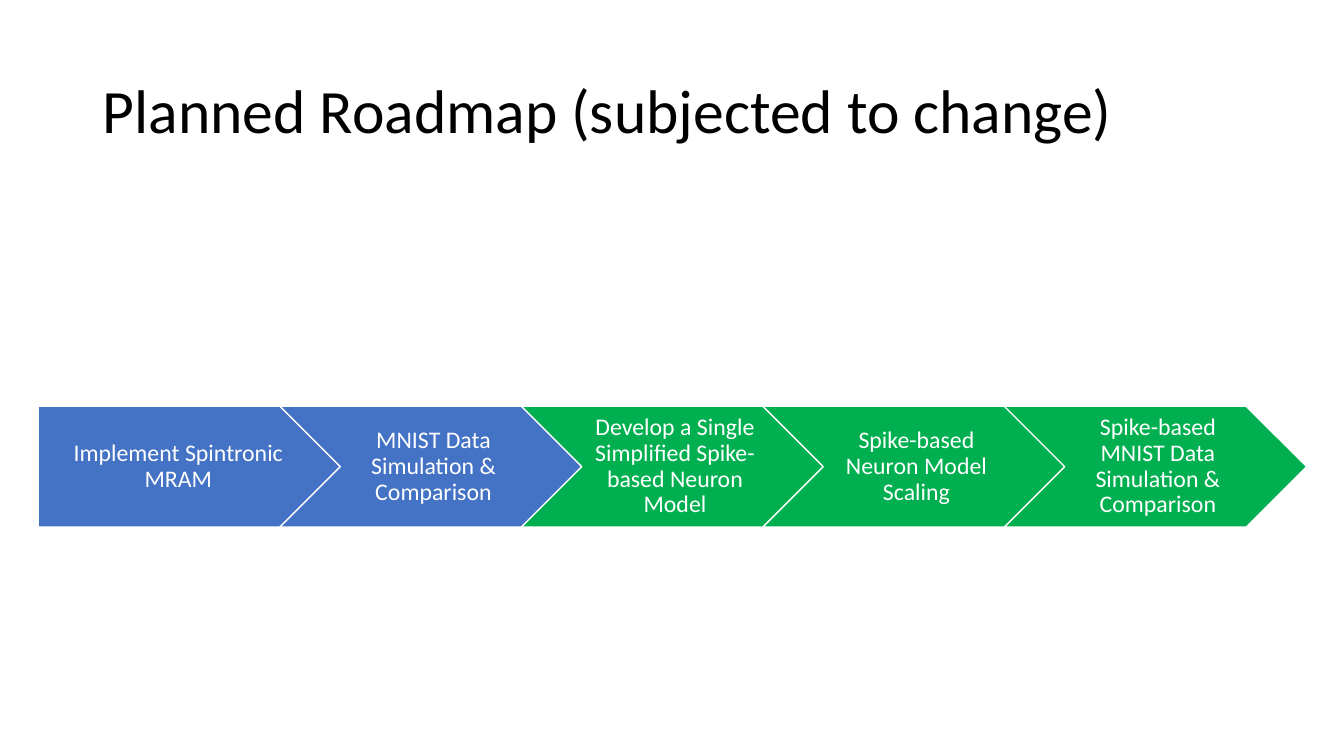
from pptx import Presentation
from pptx.dml.color import RGBColor
from pptx.enum.shapes import MSO_SHAPE as Shape
from pptx.enum.text import MSO_ANCHOR as Anchor, PP_ALIGN as Align
from pptx.util import Inches, Pt

TITLE = "Planned Roadmap (subjected to change)"
STEPS = [
    ("Implement Spintronic MRAM", "blue"),
    ("MNIST Data Simulation & Comparison", "blue"),
    ("Develop a Single Simplified Spike-based Neuron Model", "green"),
    ("Spike-based Neuron Model Scaling", "green"),
    ("Spike-based MNIST Data Simulation & Comparison", "green"),
]
COLORS = {"blue": "4472C4", "green": "00B050", "white": "FFFFFF", "black": "000000"}
FONT = "Calibri"

FIRST_LEFT, LAST_LEFT = 0.38, 9.96
STEP_TOP, STEP_WIDTH, STEP_HEIGHT = 4.03, 3, 1.2
PITCH = (LAST_LEFT - FIRST_LEFT) / (len(STEPS) - 1)


def color(name):
    return RGBColor.from_string(COLORS[name])


def write(shape, text, size, ink, align, insets=(0.1, 0.05, 0.1, 0.05)):
    """Fill the shape with one formatted, vertically centred paragraph."""
    frame = shape.text_frame
    frame.word_wrap = True
    frame.vertical_anchor = Anchor.MIDDLE
    (frame.margin_left, frame.margin_top,
     frame.margin_right, frame.margin_bottom) = map(Inches, insets)
    para = frame.paragraphs[0]
    para.alignment = align
    para.line_spacing = 0.9
    span = para.add_run()
    span.text = text
    span.font.name = FONT
    span.font.size = Pt(size)
    span.font.color.rgb = color(ink)


def add_step(shapes, index, text, fill):
    first = index == 0
    step = shapes.add_shape(
        Shape.PENTAGON if first else Shape.CHEVRON,
        Inches(FIRST_LEFT + index * PITCH), Inches(STEP_TOP),
        Inches(STEP_WIDTH), Inches(STEP_HEIGHT))
    step.shadow.inherit = False
    step.fill.solid()
    step.fill.fore_color.rgb = color(fill)
    step.line.color.rgb = color("white")
    step.line.width = Pt(1)
    write(step, text, 17, "white", Align.CENTER,
          insets=(0.1 if first else 0.07, 0.05, 0.02, 0.05))


def main():
    deck = Presentation()
    deck.slide_width, deck.slide_height = Inches(13.33), Inches(7.5)
    page = deck.slides.add_slide(deck.slide_layouts[5])

    title = page.shapes.title
    title.left, title.top = Inches(0.92), Inches(0.4)
    title.width, title.height = Inches(11.5), Inches(1.45)
    write(title, TITLE, 44, "black", Align.LEFT)

    roadmap = page.shapes.add_group_shape()
    for index, (text, fill) in enumerate(STEPS):
        add_step(roadmap.shapes, index, text, fill)

    deck.save("out.pptx")


if __name__ == "__main__":
    main()
